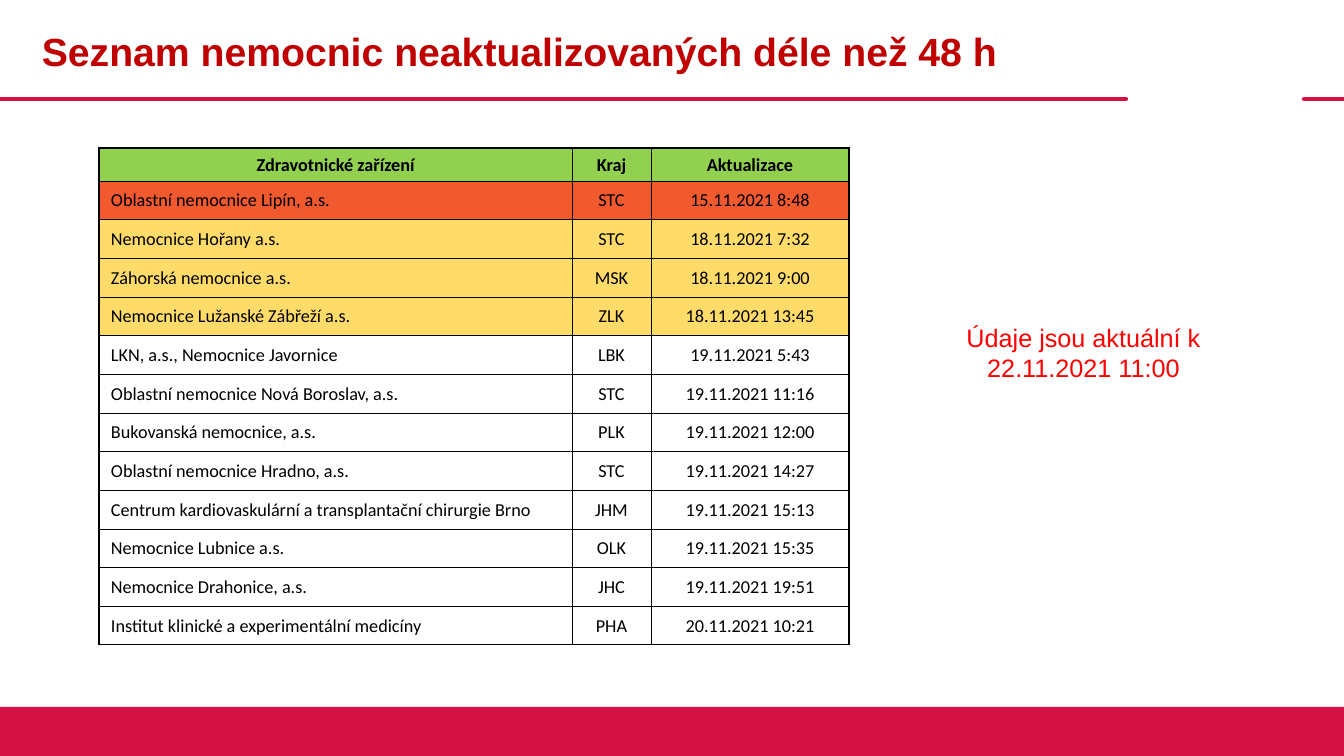
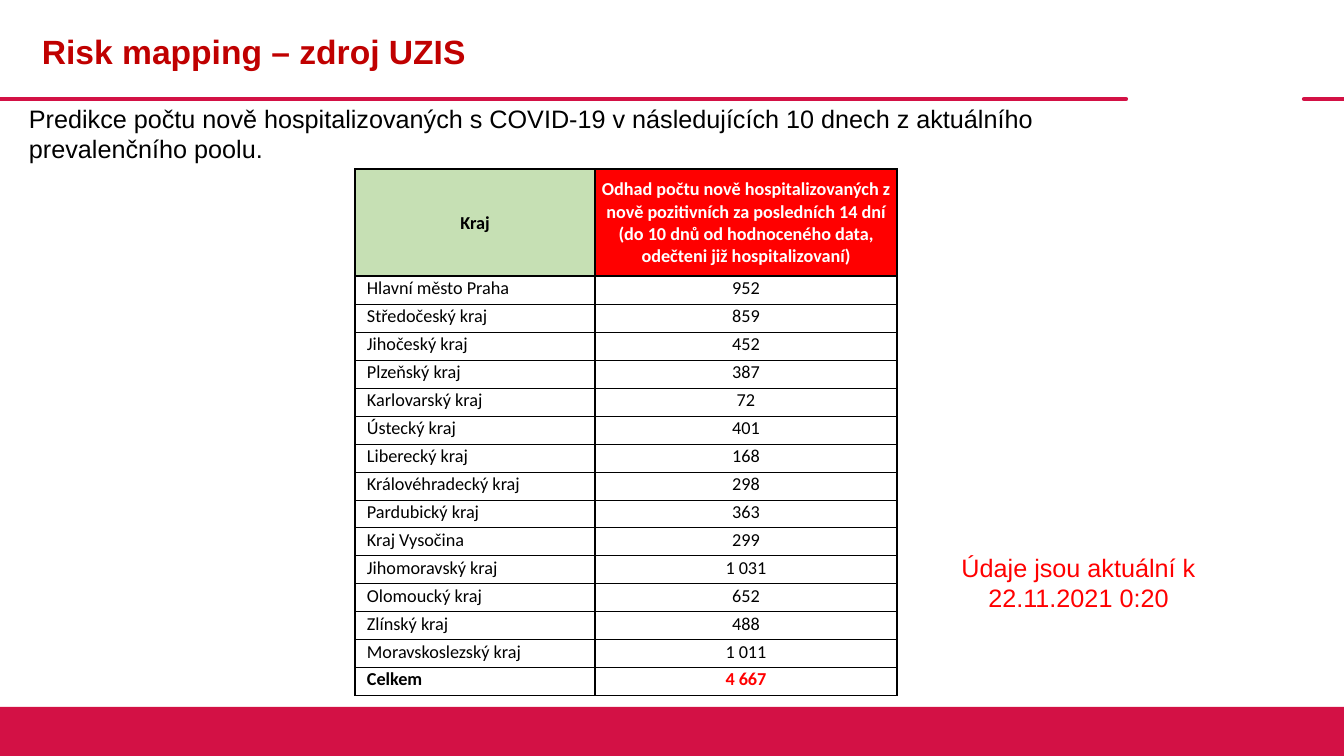
from lxml.etree import SubElement
from pptx import Presentation
from pptx.dml.color import RGBColor
from pptx.enum.shapes import MSO_CONNECTOR, MSO_SHAPE
from pptx.enum.text import MSO_ANCHOR, PP_ALIGN
from pptx.oxml.ns import qn
from pptx.util import Pt

CRIMSON = RGBColor(0xD3, 0x11, 0x45)
DARK_RED = RGBColor(0xC0, 0x00, 0x00)
RED = RGBColor(0xFF, 0x00, 0x00)
BLACK = RGBColor(0x00, 0x00, 0x00)
WHITE = RGBColor(0xFF, 0xFF, 0xFF)
GREEN = RGBColor(0x92, 0xD0, 0x50)
PALE_GREEN = RGBColor(0xC6, 0xE0, 0xB4)
ORANGE = RGBColor(0xF1, 0x59, 0x2F)
YELLOW = RGBColor(0xFF, 0xDB, 0x69)

PX = 914400 / 100.8
WIDTH, HEIGHT = 1344, 756


def add_text(page, text, frame, size, color, bold=False,
             align=PP_ALIGN.LEFT, anchor=MSO_ANCHOR.TOP):
    box = page.shapes.add_textbox(*[round(length * PX) for length in frame])
    box.text_frame.word_wrap = True
    box.text_frame.vertical_anchor = anchor
    para = box.text_frame.paragraphs[0]
    para.text = text
    para.alignment = align
    para.font.name, para.font.size, para.font.bold = "Arial", Pt(size), bold
    para.font.color.rgb = color


def add_grid(page, left, top, widths, heights, rows, heavy_rows, heavy_columns,
             anchor, bottom_margin):
    """Table with 0.5 pt grid lines; the heavy ones, counted from 0, are 1 pt."""
    frame = [left, top, sum(widths), sum(heights)]
    table = page.shapes.add_table(
        len(rows), len(widths), *[round(length * PX) for length in frame]).table
    table.first_row = table.horz_banding = False
    for column, width in zip(table.columns, widths):
        column.width = round(width * PX)
    for row, height in zip(table.rows, heights):
        row.height = round(height * PX)

    for r, texts in enumerate(rows):
        for c, text in enumerate(texts):
            cell = table.cell(r, c)
            is_header = r == 0
            is_name = c == 0 and not is_header
            cell.vertical_anchor = MSO_ANCHOR.MIDDLE if is_header else anchor
            cell.margin_left = round((12 if is_name else 1) * PX)
            cell.margin_right = cell.margin_top = round(PX)
            cell.margin_bottom = 0 if is_header else round(bottom_margin * PX)
            para = cell.text_frame.paragraphs[0]
            para.text = text
            para.alignment = PP_ALIGN.LEFT if is_name else PP_ALIGN.CENTER
            para.font.name, para.font.size = "Calibri", Pt(13)
            para.font.bold = is_header
            para.font.color.rgb = BLACK

            # Borders come before the fill in the cell properties
            properties = cell._tc.get_or_add_tcPr()
            for side, heavy in (("L", c in heavy_columns), ("R", c + 1 in heavy_columns),
                                ("T", r in heavy_rows), ("B", r + 1 in heavy_rows)):
                line = SubElement(properties, qn(f"a:ln{side}"), w=str(Pt(1 if heavy else 0.5)))
                SubElement(SubElement(line, qn("a:solidFill")), qn("a:srgbClr"), val=str(BLACK))
            cell.fill.solid()
            cell.fill.fore_color.rgb = WHITE
    return table


deck = Presentation()
deck.slide_width, deck.slide_height = round(WIDTH * PX), round(HEIGHT * PX)

# Shared frame: title, rule in two pieces, bottom band, date of the data
for title, title_size, updated, note_left, note_top in (
    ("Seznam nemocnic neaktualizovaných déle než 48 h", 28, "22.11.2021 11:00", 955, 317),
    ("Risk mapping – zdroj UZIS", 24, "22.11.2021 0:20", 950, 547),
):
    page = deck.slides.add_slide(deck.slide_layouts[6])
    for start, end in ((0, 1126), (1304, WIDTH)):
        rule = page.shapes.add_connector(
            MSO_CONNECTOR.STRAIGHT, *[round(length * PX) for length in (start, 99, end, 99)])
        rule.line.color.rgb = CRIMSON
        rule.line.width = Pt(3)
        properties = rule._element.spPr
        properties.find(qn("a:ln")).set("cap", "rnd")
        SubElement(properties, qn("a:effectLst"))
    band = page.shapes.add_shape(
        MSO_SHAPE.RECTANGLE, *[round(length * PX) for length in (0, 707, WIDTH, HEIGHT - 707)])
    band.shadow.inherit = False
    band.fill.solid()
    band.fill.fore_color.rgb = CRIMSON
    band.line.fill.background()
    add_text(page, title, (32, 16, 1090, 70), title_size, DARK_RED, bold=True,
             anchor=MSO_ANCHOR.MIDDLE)
    add_text(page, f"Údaje jsou aktuální k {updated}", (note_left, note_top, 257, 72), 18, RED,
             align=PP_ALIGN.CENTER)

hospital_page, risk_page = deck.slides

# Hospitals with old data
hospitals = [
    ("Zdravotnické zařízení", "Kraj", "Aktualizace"),
    ("Oblastní nemocnice Lipín, a.s.", "STC", "15.11.2021 8:48"),
    ("Nemocnice Hořany a.s.", "STC", "18.11.2021 7:32"),
    ("Záhorská nemocnice a.s.", "MSK", "18.11.2021 9:00"),
    ("Nemocnice Lužanské Zábřeží a.s.", "ZLK", "18.11.2021 13:45"),
    ("LKN, a.s., Nemocnice Javornice", "LBK", "19.11.2021 5:43"),
    ("Oblastní nemocnice Nová Boroslav, a.s.", "STC", "19.11.2021 11:16"),
    ("Bukovanská nemocnice, a.s.", "PLK", "19.11.2021 12:00"),
    ("Oblastní nemocnice Hradno, a.s.", "STC", "19.11.2021 14:27"),
    ("Centrum kardiovaskulární a transplantační chirurgie Brno", "JHM", "19.11.2021 15:13"),
    ("Nemocnice Lubnice a.s.", "OLK", "19.11.2021 15:35"),
    ("Nemocnice Drahonice, a.s.", "JHC", "19.11.2021 19:51"),
    ("Institut klinické a experimentální medicíny", "PHA", "20.11.2021 10:21"),
]
hospital_table = add_grid(
    hospital_page, 99, 148, (473, 79, 198), [33] + [464 / 12] * 12, hospitals,
    heavy_rows={0, 13}, heavy_columns={0, 3}, anchor=MSO_ANCHOR.MIDDLE, bottom_margin=0)
for row, color in zip(hospital_table.rows, (GREEN, ORANGE, YELLOW, YELLOW, YELLOW)):
    for cell in row.cells:
        cell.fill.fore_color.rgb = color

# Predicted admissions by region
add_text(risk_page,
         "Predikce počtu nově hospitalizovaných s COVID-19 v následujících 10 dnech "
         "z aktuálního prevalenčního poolu.", (19, 98, 1102, 72), 18, BLACK)
regions = [
    ("Kraj", "Odhad počtu nově hospitalizovaných z nově pozitivních za posledních 14 dní "
             "(do 10 dnů od hodnoceného data, odečteni již hospitalizovaní)"),
    ("Hlavní město Praha", "952"),
    ("Středočeský kraj", "859"),
    ("Jihočeský kraj", "452"),
    ("Plzeňský kraj", "387"),
    ("Karlovarský kraj", "72"),
    ("Ústecký kraj", "401"),
    ("Liberecký kraj", "168"),
    ("Královéhradecký kraj", "298"),
    ("Pardubický kraj", "363"),
    ("Kraj Vysočina", "299"),
    ("Jihomoravský kraj", "1 031"),
    ("Olomoucký kraj", "652"),
    ("Zlínský kraj", "488"),
    ("Moravskoslezský kraj", "1 011"),
    ("Celkem", "4 667"),
]
risk_table = add_grid(
    risk_page, 355, 169, (240, 302), [107] + [28] * 15, regions,
    heavy_rows={0, 1, 15, 16}, heavy_columns={0, 1, 2}, anchor=MSO_ANCHOR.TOP, bottom_margin=5)
region_head, estimate_head = risk_table.rows[0].cells
region_head.fill.fore_color.rgb = PALE_GREEN
estimate_head.fill.fore_color.rgb = RED
estimate_head.text_frame.paragraphs[0].font.color.rgb = WHITE
for cell, color in zip(risk_table.rows[15].cells, (BLACK, RED)):
    total = cell.text_frame.paragraphs[0]
    total.font.bold = True
    total.font.color.rgb = color

deck.save("out.pptx")
